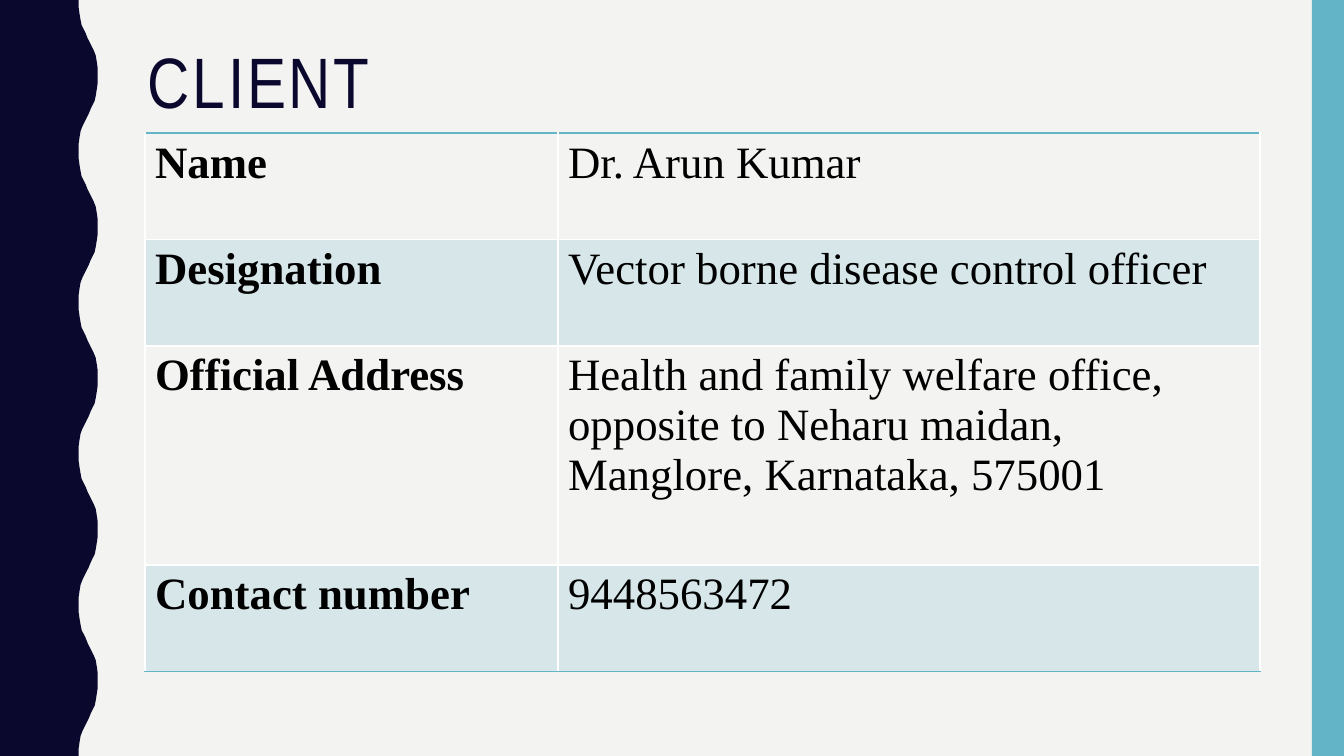
from lxml.etree import SubElement
from pptx import Presentation
from pptx.dml.color import RGBColor
from pptx.enum.shapes import MSO_SHAPE
from pptx.enum.text import MSO_ANCHOR
from pptx.oxml.ns import qn
from pptx.util import Emu, Pt

NAVY = RGBColor(0x0B, 0x08, 0x2E)
TEAL = RGBColor(0x62, 0xB4, 0xC6)
PAPER = RGBColor(0xF3, 0xF3, 0xF2)
BLACK = RGBColor(0, 0, 0)
PIXELS_PER_INCH = 100.8
WIDTH, HEIGHT = 1344, 756


def px(length):
    return Emu(round(length * 914400 / PIXELS_PER_INCH))


class SlideBuilder:
    heading_font = "Arial Narrow"
    body_font = "Times New Roman"

    def __init__(self, slide):
        self.slide = slide
        slide.background.fill.solid()
        slide.background.fill.fore_color.rgb = PAPER

    def paint(self, shape, color):
        shape.shadow.inherit = False
        shape.fill.solid()
        shape.fill.fore_color.rgb = color
        shape.line.fill.background()

    def band(self, left, top, width, height, color):
        shape = self.slide.shapes.add_shape(
            MSO_SHAPE.RECTANGLE, px(left), px(top), px(width), px(height))
        self.paint(shape, color)

    def outline(self, points, units_per_inch, color):
        builder = self.slide.shapes.build_freeform(
            *points[0], scale=914400 / units_per_inch)
        builder.add_line_segments(points[1:], close=True)
        self.paint(builder.convert_to_shape(), color)

    def title(self, text, left, top, width, height):
        frame = self.slide.shapes.add_textbox(
            px(left), px(top), px(width), px(height)).text_frame
        frame.word_wrap = True
        frame.vertical_anchor = MSO_ANCHOR.TOP
        paragraph = frame.paragraphs[0]
        paragraph.line_spacing = 0.9
        run = paragraph.add_run()
        run.text = text
        self.style(paragraph, self.heading_font, 51, NAVY)
        run.font._element.set("spc", "200")

    def style(self, paragraph, name, size, color, bold=False):
        font = paragraph.font
        font.name, font.size, font.bold = name, Pt(size), bold
        font.color.rgb = color

    def border(self, cell, side):
        line = SubElement(cell._tc.get_or_add_tcPr(), qn("a:" + side), w=str(Pt(1)))
        fill = SubElement(line, qn("a:solidFill"))
        SubElement(fill, qn("a:srgbClr"), val=str(TEAL))

    def cell(self, cell, text, bold, sides, shaded):
        cell.text = text
        self.style(cell.text_frame.paragraphs[0], self.body_font, 32, BLACK, bold)
        for side in sides:
            self.border(cell, side)
        if shaded:
            cell.fill.solid()
            cell.fill.fore_color.rgb = TEAL
            color = cell._tc.tcPr.find(qn("a:solidFill")).find(qn("a:srgbClr"))
            SubElement(color, qn("a:alpha"), val="20000")
        else:
            cell.fill.background()

    def table(self, rows, left, top, widths, heights):
        table = self.slide.shapes.add_table(
            len(rows), len(widths), px(left), px(top),
            px(sum(widths)), px(sum(heights))).table
        table.horz_banding = False
        table.first_row = False
        for column, width in zip(table.columns, widths):
            column.width = px(width)
        for index, (texts, height) in enumerate(zip(rows, heights)):
            table.rows[index].height = px(height)
            sides = {0: ("lnT", "lnB"), len(rows) - 1: ("lnB",)}.get(index, ())
            for column, text in enumerate(texts):
                self.cell(table.cell(index, column), text, column == 0,
                          sides, index % 2 == 1)


presentation = Presentation()
presentation.slide_width, presentation.slide_height = px(WIDTH), px(HEIGHT)
builder = SlideBuilder(presentation.slides.add_slide(presentation.slide_layouts[6]))

# Wavy left edge: one half wave, in hundredths of an inch, swung in and out
HALF_WAVE = [(78, 0), (78, 7), (79, 14), (80, 20), (81, 25), (83, 29), (85, 33),
             (87, 38), (89, 42), (91, 46), (93, 50), (95, 55), (96, 61), (97, 68)]
INNER, OUTER, HALF_LENGTH, HALVES = 78, 97, 75, 10
wave = [(INNER + OUTER - x if half % 2 else x, half * HALF_LENGTH + y)
        for half in range(HALVES) for x, y in HALF_WAVE]
bottom = HALVES * HALF_LENGTH
builder.outline([(0, 0), *wave, (INNER, bottom), (0, bottom)], 100, NAVY)

# Right band
builder.band(1312, 0, 32, HEIGHT, TEAL)

# Title
builder.title("CLIENT", 138, 42, 1122, 164)

# Client details
builder.table([
    ("Name", "Dr. Arun Kumar"),
    ("Designation", "Vector borne disease control officer"),
    ("Official Address", "Health and family welfare office, opposite to "
                         "Neharu maidan, Manglore, Karnataka, 575001"),
    ("Contact number", "9448563472"),
], 145, 133, (413, 702), (106.5, 106.5, 219, 106.5))

presentation.save("out.pptx")
